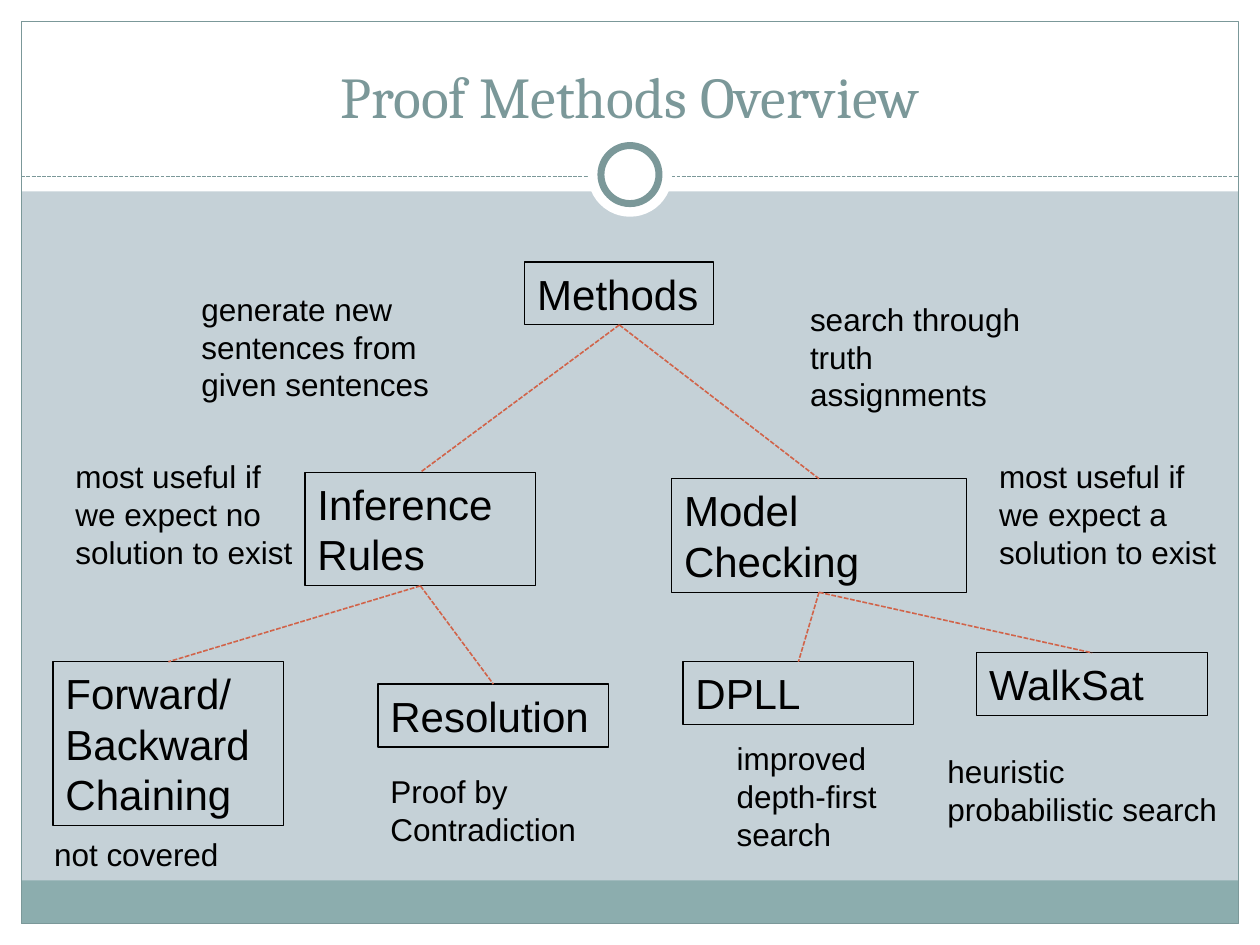
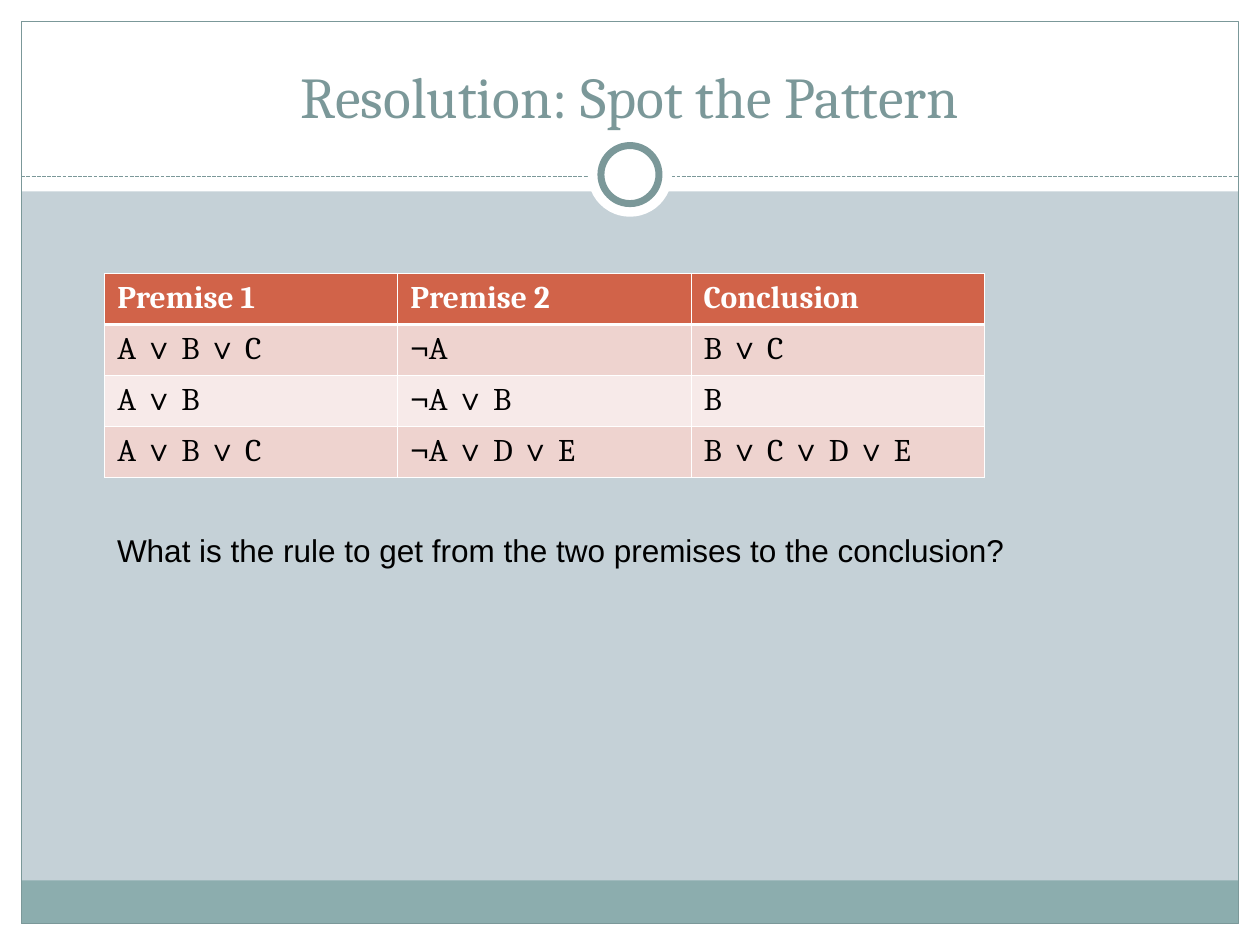
import itertools

import lxml.etree
import pptx
import pptx.dml.color
import pptx.enum.dml
import pptx.enum.shapes
import pptx.enum.text
import pptx.oxml.ns
import pptx.util

Cm = pptx.util.Cm
Pt = pptx.util.Pt
SHAPES = pptx.enum.shapes.MSO_SHAPE
ALIGN = pptx.enum.text.PP_ALIGN
ANCHOR = pptx.enum.text.MSO_ANCHOR
AUTO = pptx.enum.text.MSO_AUTO_SIZE
DASH = pptx.enum.dml.MSO_LINE.SQUARE_DOT

WHITE, BLACK = "FFFFFF", "000000"
BACKGROUND, TEAL, SLATE = "C5D1D7", "8CADAE", "7B9899"
RUST, ROSE, BLUSH = "D16349", "EED3CF", "F7EAE9"
WIDTH, HEIGHT, MARGIN = 25.4, 19.05, 0.43
TOP, BOTTOM = 0, 2

NODES = {
    "Methods": (10.58, 5.28, 3.81, 1.27),
    "Inference Rules": (6.15, 9.52, 4.65, 2.29),
    "Model Checking": (13.54, 9.65, 5.94, 2.29),
    "Forward/Backward Chaining": (1.07, 13.34, 4.65, 3.3),
    "Resolution": (7.62, 13.79, 4.65, 1.27),
    "DPLL": (13.77, 13.34, 4.65, 1.27),
    "WalkSat": (19.69, 13.16, 4.65, 1.27),
}
CHILDREN = {
    "Methods": ("Inference Rules", "Model Checking"),
    "Inference Rules": ("Forward/Backward Chaining", "Resolution"),
    "Model Checking": ("DPLL", "WalkSat"),
}
NOTES = {
    "generate new sentences from given sentences": (3.81, 5.72, 5.51, 2.54),
    "search through truth assignments": (16.08, 5.92, 5.51, 2.54),
    "most useful if we expect no solution to exist": (1.27, 9.09, 4.88, 3.3),
    "most useful if we expect a solution to exist": (19.89, 9.09, 4.88, 3.3),
    "not covered": (0.84, 16.71, 5.08, 1.02),
    "Proof by Contradiction": (7.62, 15.44, 5.51, 1.78),
    "improved depth-first search": (14.6, 14.78, 4.24, 2.54),
    "heuristic probabilistic search": (18.85, 15.04, 6.15, 1.78),
}
PREMISES = [
    ("Premise 1", "Premise 2", "Conclusion"),
    ("A ∨ B ∨ C", "¬A", "B ∨ C"),
    ("A ∨ B", "¬A ∨ B", "B"),
    ("A ∨ B ∨ C", "¬A ∨ D ∨ E", "B ∨ C ∨ D ∨ E"),
]


def colour(value):
    return pptx.dml.color.RGBColor.from_string(value)


def apply(target, values):
    for name, value in values.items():
        setattr(target, name, value)


class Deck:
    """Hold the shared style and the current page, and draw each kind of element."""

    def __init__(self):
        self.deck = pptx.Presentation()
        apply(self.deck, {"slide_width": Cm(WIDTH), "slide_height": Cm(HEIGHT)})
        self.page = None

    def add_page(self, title):
        self.page = self.deck.slides.add_slide(self.deck.slide_layouts[6])
        self.paint(self.page.background.fill, BACKGROUND)
        inner, right, base = WIDTH - 2 * MARGIN, WIDTH - MARGIN, HEIGHT - MARGIN
        for band in (
            (0, base, WIDTH, MARGIN),
            (0, 0, WIDTH, 3.86),
            (0, 0, MARGIN, HEIGHT),
            (right, 0, MARGIN, HEIGHT),
        ):
            self.shape(band, WHITE)
        self.shape((MARGIN, 17.75, inner, 0.87), TEAL)
        self.shape((MARGIN, MARGIN, inner, HEIGHT - 2 * MARGIN), line=SLATE)
        self.line((MARGIN, 3.56, right, 3.56), SLATE, 0.75)
        self.circle(1.7)
        self.circle(1.17, SLATE)
        box = self.text((0.84, 0.64, 23.72, 2.11), title, 33, "Cambria", SLATE)
        apply(box.text_frame, {"auto_size": AUTO.NONE, "vertical_anchor": ANCHOR.BOTTOM})
        box.text_frame.paragraphs[0].alignment = ALIGN.CENTER

    def paint(self, fill, value):
        if value:
            fill.solid()
            fill.fore_color.rgb = colour(value)
        else:
            fill.background()

    def shape(self, place, fill=None, line=None, weight=0.75, kind=SHAPES.RECTANGLE):
        shape = self.page.shapes.add_shape(kind, *map(Cm, place))
        shape.shadow.inherit = False
        self.paint(shape.fill, fill)
        self.paint(shape.line.fill, line)
        if line:
            shape.line.width = Pt(weight)
        return shape

    def circle(self, size, line=None):
        place = (WIDTH - size) / 2, 3.52 - size / 2, size, size
        self.shape(place, WHITE, line, 4, SHAPES.OVAL)

    def line(self, ends, value, weight):
        kind = pptx.enum.shapes.MSO_CONNECTOR.STRAIGHT
        line = self.page.shapes.add_connector(kind, *map(Cm, ends))
        self.paint(line.line.fill, value)
        apply(line.line, {"width": Pt(weight), "dash_style": DASH})
        properties = line._element.spPr
        lxml.etree.SubElement(properties, pptx.oxml.ns.qn("a:effectLst"))
        return line

    def link(self, parent, child):
        line = self.line((0, 0, 0, 0), RUST, 0.91)
        line.begin_connect(parent, BOTTOM)
        line.end_connect(child, TOP)

    def add_spans(self, para, words, size, font, value, bold=False):
        for symbol, letters in itertools.groupby(words, lambda letter: letter in "∨¬"):
            span = para.add_run()
            span.text = "".join(letters)
            name = "Arial" if symbol else font
            apply(span.font, {"size": Pt(size), "name": name, "bold": bold})
            span.font.color.rgb = colour(value)

    def fill_text(self, box, words, size, font, value):
        apply(box.text_frame, {
            "word_wrap": True,
            "auto_size": AUTO.SHAPE_TO_FIT_TEXT,
            "vertical_anchor": ANCHOR.TOP,
        })
        para = box.text_frame.paragraphs[0]
        para.alignment = ALIGN.LEFT
        self.add_spans(para, words, size, font, value)
        return box

    def text(self, place, words, size=18, font="Arial", value=BLACK):
        box = self.page.shapes.add_textbox(*map(Cm, place))
        return self.fill_text(box, words, size, font, value)

    def node(self, place, words):
        return self.fill_text(self.shape(place, line=BLACK), words, 24, "Arial", BLACK)

    def border(self, cell, side, weight):
        properties = cell._tc.get_or_add_tcPr()
        edge = lxml.etree.SubElement(
            properties, pptx.oxml.ns.qn("a:ln" + side), w=str(Pt(weight)))
        fill = lxml.etree.SubElement(edge, pptx.oxml.ns.qn("a:solidFill"))
        lxml.etree.SubElement(fill, pptx.oxml.ns.qn("a:srgbClr"), val=WHITE)

    def table(self, left, top, column_width, row_height, rows):
        count = len(rows[0])
        size = left, top, column_width * count, row_height * len(rows)
        table = self.page.shapes.add_table(len(rows), count, *map(Cm, size)).table
        for column in table.columns:
            column.width = Cm(column_width)
        for number, row in enumerate(rows):
            table.rows[number].height = Cm(row_height)
            header = number == 0
            fill = RUST if header else (BLUSH, ROSE)[number % 2]
            for cell, words in zip(table.rows[number].cells, row):
                for side in "LRTB":
                    heavy = (number, side) in ((0, "B"), (1, "T"))
                    self.border(cell, side, 1.47 if heavy else 0.45)
                self.paint(cell.fill, fill)
                para = cell.text_frame.paragraphs[0]
                value = WHITE if header else BLACK
                self.add_spans(para, words, 18, "Cambria", value, header)


def main():
    deck = Deck()
    deck.add_page("Proof Methods Overview")
    nodes = {words: deck.node(place, words) for words, place in NODES.items()}
    for parent, children in CHILDREN.items():
        for child in children:
            deck.link(nodes[parent], nodes[child])
    for words, place in NOTES.items():
        deck.text(place, words)

    deck.add_page("Resolution: Spot the Pattern")
    deck.table(2.11, 5.51, 5.91, 1.03, PREMISES)
    deck.text((2.11, 10.59, 19.89, 1.02),
              "What is the rule to get from the two premises to the conclusion?")
    deck.deck.save("out.pptx")


if __name__ == "__main__":
    main()
